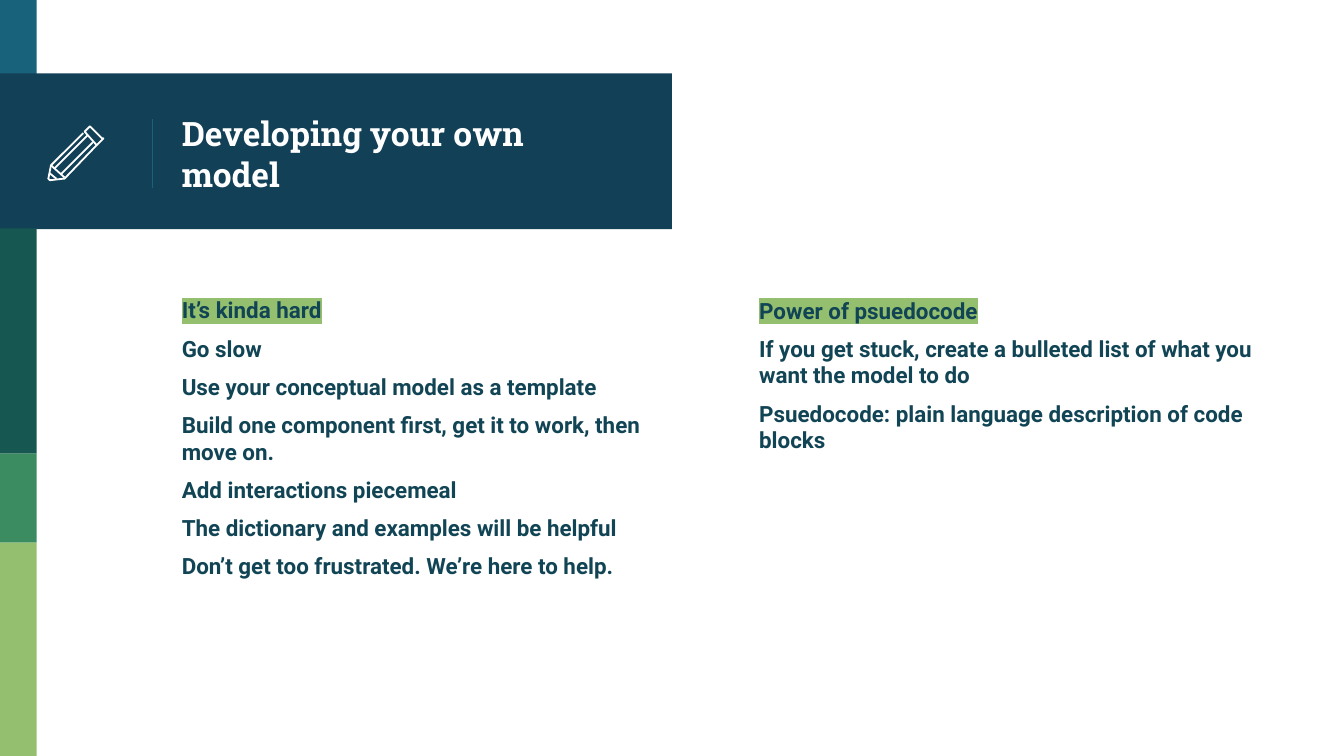
from dataclasses import dataclass

from lxml.etree import SubElement
from pptx import Presentation
from pptx.dml.color import RGBColor
from pptx.enum.shapes import MSO_CONNECTOR, MSO_SHAPE
from pptx.enum.text import MSO_ANCHOR
from pptx.oxml import parse_xml
from pptx.oxml.ns import nsdecls, qn
from pptx.util import Inches, Pt

# The slide is a grid of 100 columns by 56.25 rows.
CELL = Inches(0.1)
COLS, ROWS = 100, 56.25
WHITE, NAVY, TEAL, INK, LIME = "FFFFFF", "124057", "18637B", "114454", "94BF6E"


@dataclass
class Bar:
    top: float
    rows: float
    fill: str
    cols: float = 2.72


@dataclass
class Block:
    left: float
    top: float
    cols: float
    rows: float
    lines: list[str]
    font: str
    size: int
    ink: str
    mark: str = ""
    anchor: MSO_ANCHOR = MSO_ANCHOR.TOP


@dataclass
class Stroke:
    """Points in tenths of a grid cell."""
    dots: list[tuple[int, int]]
    closed: bool = False


BARS = [
    Bar(0, 5.8, TEAL),
    Bar(5.47, 11.58, NAVY, 50),
    Bar(17, 16.75, "165751"),
    Bar(33.75, 6.62, "3B8D61"),
    Bar(40.37, ROWS - 40.37, LIME),
]

BLOCKS = [
    Block(12.54, 5.83, 35.1, 11.2, ["Developing your own model"],
          "Roboto Slab", 18, WHITE, anchor=MSO_ANCHOR.MIDDLE),
    Block(12.54, 21.07, 37.8, 28.3, [
        "It’s kinda hard",
        "Go slow",
        "Use your conceptual model as a template",
        "Build one component first, get it to work, then move on.",
        "Add interactions piecemeal",
        "The dictionary and examples will be helpful",
        "Don’t get too frustrated. We’re here to help.",
    ], "Roboto", 12, INK, LIME),
    Block(55.5, 21.07, 39.5, 20.9, [
        "Power of psuedocode",
        "If you get stuck, create a bulleted list of what you want the model to do",
        "Psuedocode: plain language description of code blocks",
    ], "Roboto", 12, INK, LIME),
]

PENCIL = [
    Stroke([(76, 103), (68, 95), (67, 94), (66, 95), (63, 98),
            (72, 108), (76, 104), (77, 103)], True),
    Stroke([(69, 106), (45, 130)]),
    Stroke([(62, 99), (38, 123), (36, 133), (37, 134), (38, 134),
            (47, 133), (48, 133), (72, 108)]),
    Stroke([(41, 125), (65, 101)]),
    Stroke([(42, 133), (37, 129)]),
    Stroke([(38, 123), (48, 132)]),
]


def tint(code: str) -> RGBColor:
    return RGBColor.from_string(code)


def grid(*cells: float) -> list[int]:
    return [round(n * CELL) for n in cells]


def draw_bar(slide, bar: Bar) -> None:
    shape = slide.shapes.add_shape(
        MSO_SHAPE.RECTANGLE, *grid(0, bar.top, bar.cols, bar.rows))
    shape.shadow.inherit = False
    shape.fill.solid()
    shape.fill.fore_color.rgb = tint(bar.fill)
    shape.line.fill.background()


def draw_rule(slide, col: float, top: float, end: float) -> None:
    rule = slide.shapes.add_connector(
        MSO_CONNECTOR.STRAIGHT, *grid(col, top, col, end))
    rule.line.color.rgb = tint(TEAL)
    rule.line.width = Pt(0.75)
    SubElement(rule._element.spPr, qn("a:effectLst"))


def draw_stroke(slide, stroke: Stroke) -> None:
    pen = slide.shapes.build_freeform(*stroke.dots[0], scale=CELL / 10)
    pen.add_line_segments(stroke.dots[1:], close=stroke.closed)
    shape = pen.convert_to_shape()
    shape.shadow.inherit = False
    shape.fill.background()
    shape.line.color.rgb = tint(WHITE)
    shape.line.width = Pt(0.96)


def mark_run(run, code: str) -> None:
    """Highlight a run; the schema wants it right after the fill."""
    fill = run._r.rPr.find(qn("a:solidFill"))
    fill.addnext(parse_xml(
        f'<a:highlight {nsdecls("a")}><a:srgbClr val="{code}"/></a:highlight>'))


def draw_block(slide, block: Block) -> None:
    box = slide.shapes.add_textbox(
        *grid(block.left, block.top, block.cols, block.rows))
    frame = box.text_frame
    frame.word_wrap = True
    frame.vertical_anchor = block.anchor
    frame.margin_left = frame.margin_right = CELL
    frame.margin_top = frame.margin_bottom = CELL
    frame.text = "\n".join(block.lines)
    for para in frame.paragraphs:
        para.space_before = Pt(6 if block.mark else 0)
        font = para.runs[0].font
        font.name, font.size, font.bold = block.font, Pt(block.size), True
        font.color.rgb = tint(block.ink)
    if block.mark:
        mark_run(frame.paragraphs[0].runs[0], block.mark)


def main() -> None:
    deck = Presentation()
    deck.slide_width, deck.slide_height = grid(COLS, ROWS)
    slide = deck.slides.add_slide(deck.slide_layouts[6])
    for bar in BARS:
        draw_bar(slide, bar)
    draw_rule(slide, 11.34, 8.87, 14)
    for stroke in PENCIL:
        draw_stroke(slide, stroke)
    for block in BLOCKS:
        draw_block(slide, block)
    deck.save("out.pptx")


if __name__ == "__main__":
    main()
